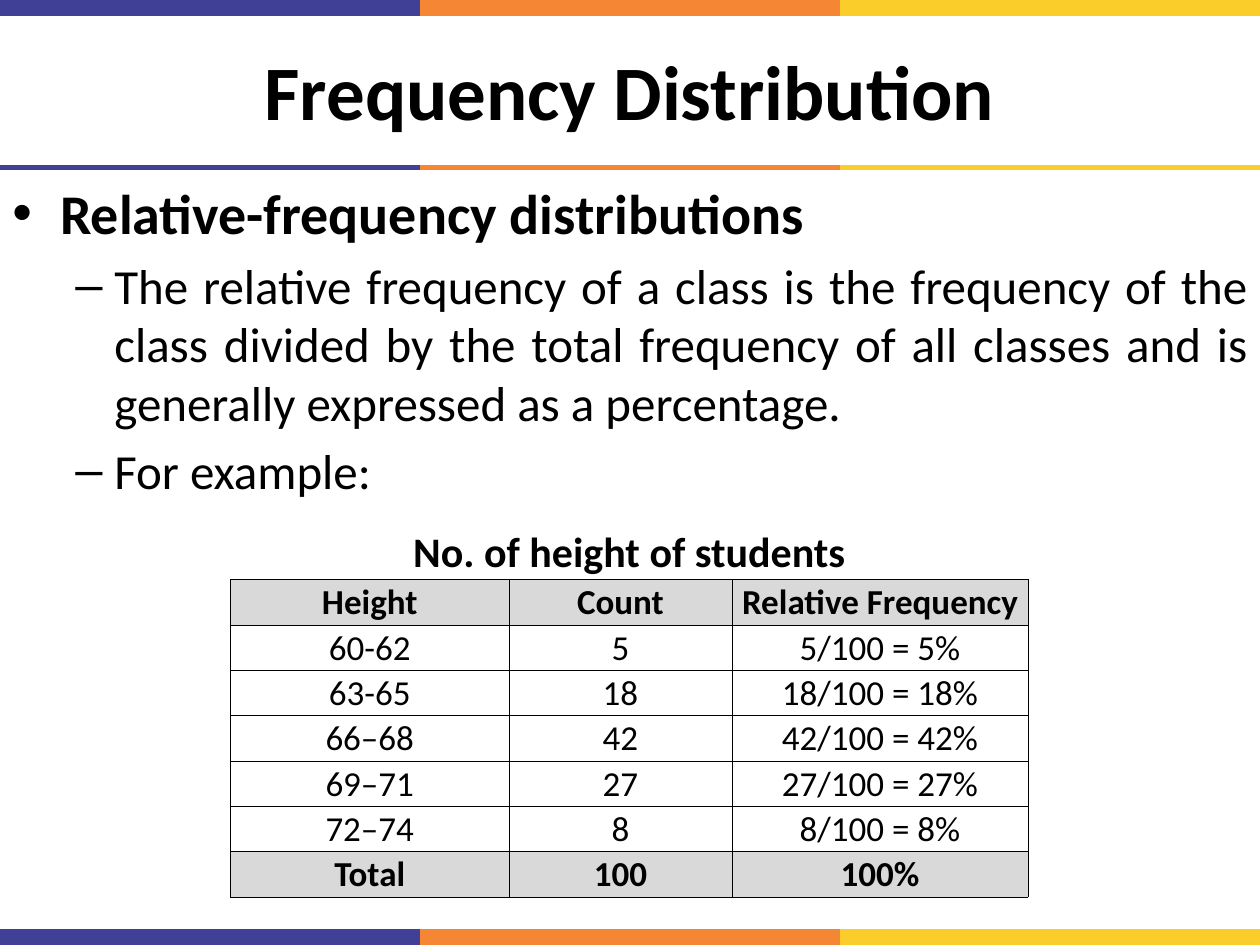
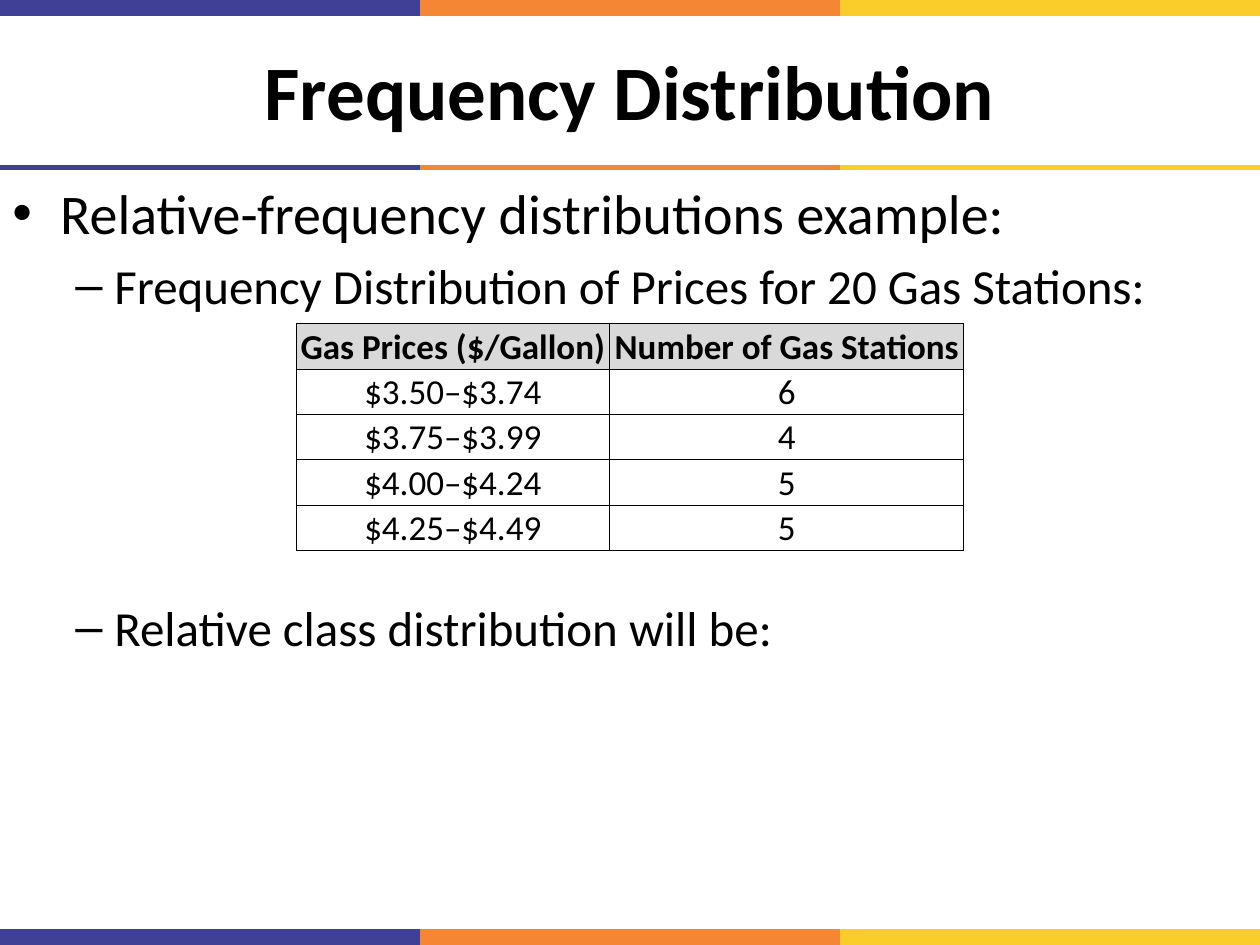
from pptx import Presentation
from pptx import util as u
from pptx.dml.color import RGBColor
from pptx.enum import shapes, text
from pptx.oxml import ns, xmlchemy

FONT = "Calibri"
BLACK = "000000"
GREY = "D9D9D9"
BAND_COLOURS = ("404096", "F58634", "FACD2A")
SLIDE_WIDTH, SLIDE_HEIGHT = 10, 7.5
TITLE_BOX = (0, 0.13, SLIDE_WIDTH, 1.16)
BODY_BOX = (0, 1.37, SLIDE_WIDTH, 5.97)
ROW_HEIGHT, CAPTION_HEIGHT = 0.36, 0.43
LEVELS = (
    {"bullet": "•", "size": 32, "margin": 0.38, "hanging": 0.38},
    {"bullet": "–", "size": 28, "margin": 0.81, "hanging": 0.31},
)
PARAGRAPH_GAP = 5.2
TABLE_GAP = 162


def colour(value):
    return RGBColor.from_string(value)


def add_element(parent, tag, **attributes):
    element = xmlchemy.OxmlElement(tag)
    for name, value in attributes.items():
        element.set(name, str(value))
    parent.append(element)
    return element


def style_font(paragraph, size, bold=False):
    for run in paragraph.runs:
        font = run.font
        font.name, font.size, font.bold = FONT, u.Pt(size), bold
        font.color.rgb = colour(BLACK)


def add_band(slide, left, middle, width, thickness):
    segment = width / len(BAND_COLOURS)
    for index, band_colour in enumerate(BAND_COLOURS):
        start = left + index * segment
        line = slide.shapes.add_connector(
            shapes.MSO_CONNECTOR.STRAIGHT,
            u.Inches(start), u.Inches(middle), u.Inches(start + segment), u.Inches(middle))
        line.line.color.rgb = colour(band_colour)
        line.line.width = u.Pt(thickness)
        add_element(line.element.spPr, "a:effectLst")


def add_text_frame(slide, box, anchor):
    shape = slide.shapes.add_textbox(*map(u.Inches, box))
    text_frame = shape.text_frame
    text_frame.word_wrap = True
    text_frame.vertical_anchor = anchor
    return text_frame


def add_title(slide, box, title):
    text_frame = add_text_frame(slide, box, text.MSO_ANCHOR.MIDDLE)
    text_frame.text = title
    paragraph = text_frame.paragraphs[0]
    paragraph.alignment = text.PP_ALIGN.CENTER
    style_font(paragraph, 44, bold=True)


def add_body(slide, box, heading, heading_bold, points):
    text_frame = add_text_frame(slide, box, text.MSO_ANCHOR.TOP)
    items = [(0, heading, heading_bold, 0)]
    items += [(1, point, False, gap) for point, gap in points]
    text_frame.text = "\n".join(item[1] for item in items)
    for paragraph, (level, _, bold, gap) in zip(text_frame.paragraphs, items):
        style = LEVELS[level]
        paragraph.level = level
        paragraph.alignment = text.PP_ALIGN.JUSTIFY
        properties = paragraph._p.get_or_add_pPr()
        properties.set("marL", str(u.Inches(style["margin"])))
        properties.set("indent", str(-u.Inches(style["hanging"])))
        add_element(properties, "a:buFont", typeface="Arial")
        add_element(properties, "a:buChar", char=style["bullet"])
        paragraph.space_before = u.Pt(gap)
        style_font(paragraph, style["size"], bold)


def set_borders(cell, visible_sides):
    properties = cell._tc.get_or_add_tcPr()
    for side in "LRTB":
        border = add_element(properties, f"a:ln{side}", w=u.Pt(0.5))
        if side in visible_sides:
            fill = add_element(border, "a:solidFill")
            add_element(fill, "a:srgbClr", val=BLACK)
        else:
            add_element(border, "a:noFill")


def style_cell(cell, value, size, bold, fill=None, borders="LRTB"):
    cell.margin_left = cell.margin_right = cell.margin_top = u.Inches(0.01)
    cell.margin_bottom = 0
    cell.vertical_anchor = text.MSO_ANCHOR.MIDDLE
    set_borders(cell, borders)
    if fill:
        cell.fill.solid()
        cell.fill.fore_color.rgb = colour(fill)
    else:
        cell.fill.background()
    cell.text_frame.text = value
    paragraph = cell.text_frame.paragraphs[0]
    paragraph.alignment = text.PP_ALIGN.CENTER
    style_font(paragraph, size, bold)


def add_frequency_table(slide, left, top, widths, rows, caption=None, has_total=False):
    offset = 1 if caption else 0
    heights = [CAPTION_HEIGHT] * offset + [ROW_HEIGHT] * len(rows)
    frame = slide.shapes.add_table(
        len(heights), len(widths), u.Inches(left), u.Inches(top),
        u.Inches(sum(widths)), u.Inches(sum(heights)))
    table = frame.table
    table.first_row = table.horz_banding = False
    for column, width in zip(table.columns, widths):
        column.width = u.Inches(width)
    for row, height in zip(table.rows, heights):
        row.height = u.Inches(height)
    if caption:
        for index in range(len(widths)):
            style_cell(table.cell(0, index), "" if index else caption, 24, True, borders="B")
        table.cell(0, 0).merge(table.cell(0, len(widths) - 1))
    for row_index, values in enumerate(rows):
        emphasised = row_index == 0 or (has_total and row_index == len(rows) - 1)
        for column_index, value in enumerate(values):
            style_cell(table.cell(row_index + offset, column_index), value, 20,
                       emphasised, GREY if emphasised else None)


def add_distribution_slide(presentation, heading, heading_bold, points, table):
    slide = presentation.slides.add_slide(presentation.slide_layouts[6])
    for middle, thickness in ((7.44, 10), (0.06, 10), (1.33, 3)):
        add_band(slide, 0, middle, SLIDE_WIDTH, thickness)
    add_title(slide, TITLE_BOX, "Frequency Distribution")
    add_body(slide, BODY_BOX, heading, heading_bold, points)
    add_frequency_table(slide, **table)


def main():
    presentation = Presentation()
    presentation.slide_width = u.Inches(SLIDE_WIDTH)
    presentation.slide_height = u.Inches(SLIDE_HEIGHT)

    counts = {"60-62": 5, "63-65": 18, "66–68": 42, "69–71": 27, "72–74": 8}
    total = sum(counts.values())
    height_rows = [("Height", "Count", "Relative Frequency")]
    height_rows += [(height, str(count), f"{count}/{total} = {count * 100 // total}%")
                    for height, count in counts.items()]
    height_rows.append(("Total", str(total), "100%"))
    add_distribution_slide(
        presentation, "Relative-frequency distributions", True,
        [("The relative frequency of a class is the frequency of the class divided by "
          "the total frequency of all classes and is generally expressed as a percentage.",
          PARAGRAPH_GAP),
         ("For example:", PARAGRAPH_GAP)],
        {"left": 1.83, "top": 4.17, "widths": (2.21, 1.77, 2.35), "rows": height_rows,
         "caption": "No. of height of students", "has_total": True})

    price_rows = [
        ("Gas Prices ($/Gallon)", "Number of Gas Stations"),
        ("$3.50–$3.74", "6"),
        ("$3.75–$3.99", "4"),
        ("$4.00–$4.24", "5"),
        ("$4.25–$4.49", "5"),
    ]
    add_distribution_slide(
        presentation, "Relative-frequency distributions example:", False,
        [("Frequency Distribution of Prices for 20 Gas Stations:", PARAGRAPH_GAP),
         ("Relative class distribution will be:", TABLE_GAP)],
        {"left": 2.35, "top": 2.57, "widths": (2.49, 2.81), "rows": price_rows})

    presentation.save("out.pptx")


if __name__ == "__main__":
    main()
